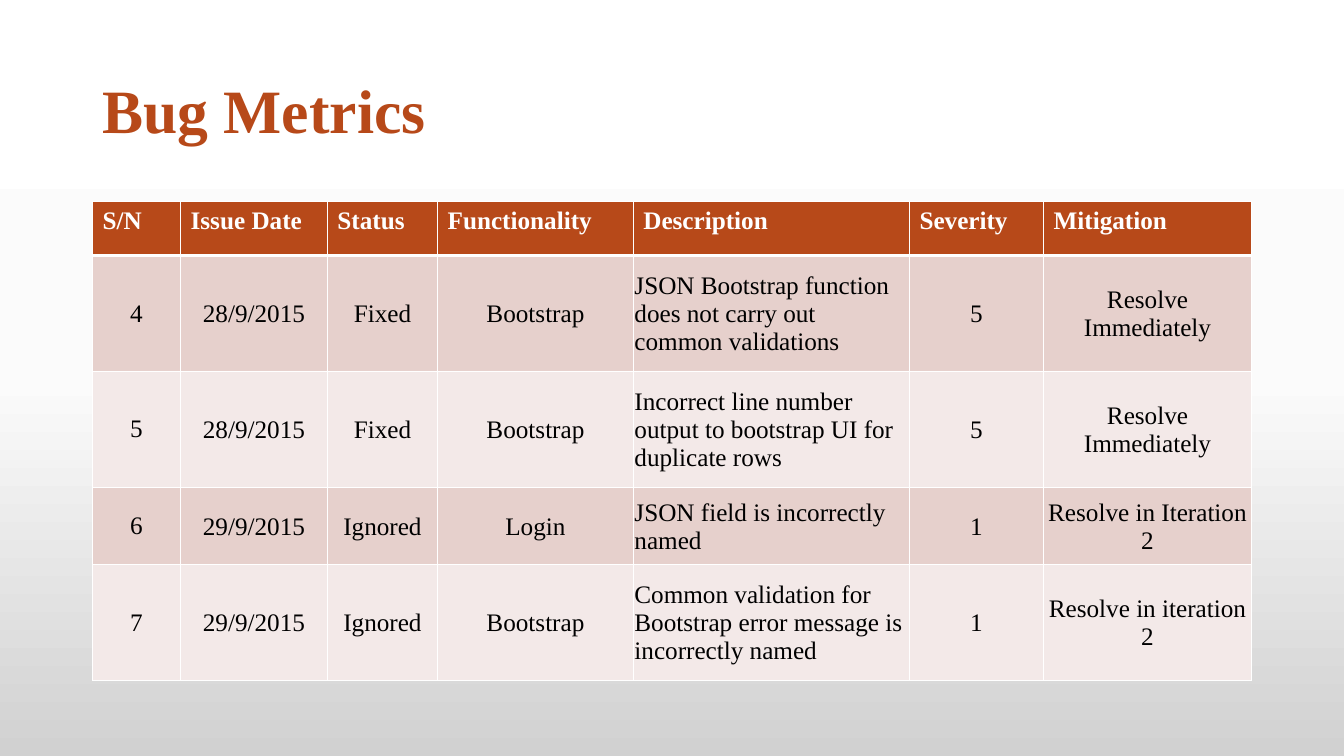
from lxml import etree
from pptx import Presentation
from pptx.dml.color import RGBColor
from pptx.enum.text import MSO_ANCHOR, PP_ALIGN
from pptx.oxml.ns import qn
from pptx.util import Cm, Pt

LEFT, CENTER = PP_ALIGN.LEFT, PP_ALIGN.CENTER
TOP, MIDDLE = MSO_ANCHOR.TOP, MSO_ANCHOR.MIDDLE

# Content
TITLE = "Bug Metrics"
HEADINGS = ("S/N", "Issue Date", "Status", "Functionality", "Description", "Severity", "Mitigation")
BUGS = [
    ("4", "28/9/2015", "Fixed", "Bootstrap",
     "JSON Bootstrap function does not carry out common validations", "5", "Resolve Immediately"),
    ("5", "28/9/2015", "Fixed", "Bootstrap",
     "Incorrect line number output to bootstrap UI for duplicate rows", "5", "Resolve Immediately"),
    ("6", "29/9/2015", "Ignored", "Login",
     "JSON field is incorrectly named", "1", "Resolve in Iteration 2"),
    ("7", "29/9/2015", "Ignored", "Bootstrap",
     "Common validation for Bootstrap error message is incorrectly named", "1", "Resolve in iteration 2"),
]

# Theme and layout, lengths in centimetres
THEME = {
    "font": "Times New Roman",
    "title_size": 44, "table_size": 18,
    "accent": "B74919", "white": "FFFFFF", "text": "000000", "outline": "E7E6E6",
    "bands": ("E6D0CC", "F3E9E8"),
    "background": ((0, "FFFFFF"), (50, "FBFBFB"), (100, "D1D1D1")),
}
MARGIN, CONTENT_WIDTH = 2.33, 29.21
COLUMN_WIDTHS = (2.22, 3.7, 2.78, 4.93, 6.96, 3.38, 5.24)
HEADER_HEIGHT, ROW_HEIGHTS = 1.36, (2.92, 2.92, 1.95, 2.92)
DESCRIPTION = HEADINGS.index("Description")
TIGHT_MARGINS = {"margin_left": Cm(0.03), "margin_right": Cm(0.03),
                 "margin_top": Cm(0.03), "margin_bottom": Cm(0)}


def set_all(target, values):
    for name, value in values.items():
        setattr(target, name, value)


def add_solid_line(parent, tag, color, points):
    line = etree.SubElement(parent, qn(tag), w=str(Pt(points)))
    fill = etree.SubElement(line, qn("a:solidFill"))
    etree.SubElement(fill, qn("a:srgbClr"), val=color)


def write_text(frame, text, size, color, bold, align=LEFT):
    para = frame.paragraphs[0]
    para.alignment = align
    span = para.add_run()
    span.text = text
    set_all(span.font, {"name": THEME["font"], "size": Pt(size), "bold": bold})
    span.font.color.rgb = RGBColor.from_string(color)
    return para, span


def paint_background(page):
    fill = page.background.fill
    fill.gradient()
    gradient = page.background._cSld.find(".//" + qn("a:gradFill"))
    stops = gradient.find(qn("a:gsLst"))
    for stop in list(stops):
        stops.remove(stop)
    for percent, color in THEME["background"]:
        stop = etree.SubElement(stops, qn("a:gs"), pos=str(percent * 1000))
        etree.SubElement(stop, qn("a:srgbClr"), val=color)
    gradient.find(qn("a:lin")).set("ang", str(90 * 60000))


def add_title(page):
    box = page.shapes.add_textbox(Cm(MARGIN), Cm(1.01), Cm(CONTENT_WIDTH), Cm(3.68))
    set_all(box.text_frame, {"word_wrap": True, "vertical_anchor": MIDDLE})
    para, span = write_text(box.text_frame, TITLE, THEME["title_size"], THEME["accent"], True)
    para.line_spacing = 0.9
    properties = span.font._element
    add_solid_line(properties, "a:ln", THEME["outline"], 0.75)
    properties.insert(0, properties[-1])


def fill_cell(cell, row, column, text):
    header = row == 0
    properties = cell._tc.get_or_add_tcPr()
    # The rule under the header is thicker than the others
    for side in "LRTB":
        thick = (header and side == "B") or (row == 1 and side == "T")
        add_solid_line(properties, "a:ln" + side, THEME["white"], 3 if thick else 1)
    cell.fill.solid()
    band = THEME["accent"] if header else THEME["bands"][(row - 1) % 2]
    cell.fill.fore_color.rgb = RGBColor.from_string(band)
    cell.vertical_anchor = TOP if header else MIDDLE
    if not header and column > 0:
        set_all(cell, TIGHT_MARGINS)
    align = LEFT if header or column == DESCRIPTION else CENTER
    color = THEME["white"] if header else THEME["text"]
    write_text(cell.text_frame, text, THEME["table_size"], color, header, align)


def add_bug_table(page):
    heights = (HEADER_HEIGHT, *ROW_HEIGHTS)
    table = page.shapes.add_table(len(heights), len(HEADINGS), Cm(MARGIN), Cm(5.08),
                                  Cm(CONTENT_WIDTH), Cm(sum(heights))).table
    for column, width in zip(table.columns, COLUMN_WIDTHS):
        column.width = Cm(width)
    for row, height in zip(table.rows, heights):
        row.height = Cm(height)
    for row, texts in enumerate([HEADINGS, *BUGS]):
        for column, text in enumerate(texts):
            fill_cell(table.cell(row, column), row, column, text)


def main():
    deck = Presentation()
    set_all(deck, {"slide_width": Cm(33.87), "slide_height": Cm(19.05)})
    page = deck.slides.add_slide(deck.slide_layouts[6])
    paint_background(page)
    add_title(page)
    add_bug_table(page)
    deck.save("out.pptx")


if __name__ == "__main__":
    main()
